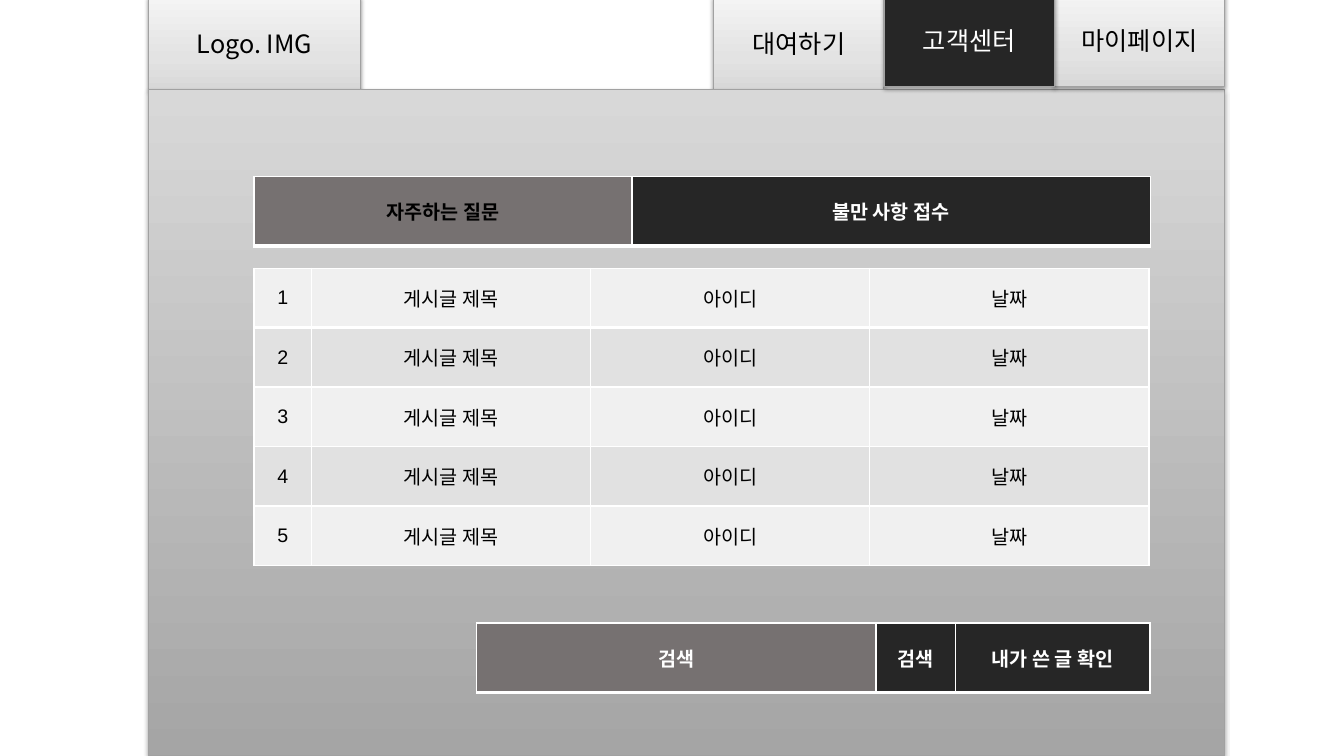
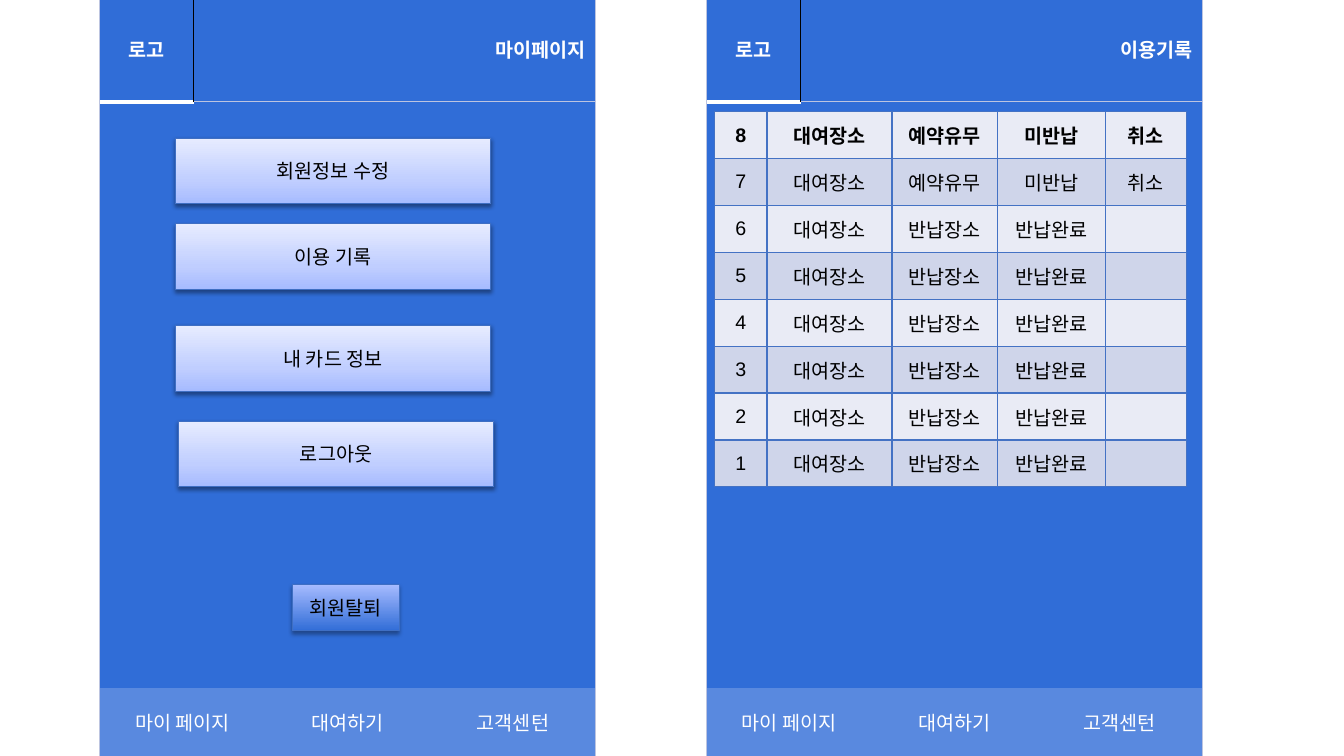
from dataclasses import dataclass, field
from typing import Optional, Sequence, Union

from lxml.etree import SubElement
from pptx import Presentation
from pptx.dml.color import RGBColor
from pptx.enum.shapes import MSO_SHAPE
from pptx.enum.text import MSO_ANCHOR, MSO_AUTO_SIZE, PP_ALIGN
from pptx.oxml.ns import qn
from pptx.util import Emu, Inches, Pt

Stops = tuple[tuple[int, str], ...]
Fill = Union[str, Stops]
GRID_ROWS = 75
NO_TABLE_STYLE = "{2D5ABB26-0587-4C30-8999-92F81FD0307C}"


@dataclass(frozen=True)
class Theme:
    latin: str = "Arial"
    korean: str = "Noto Sans CJK KR"
    tab_size: int = 18
    text_size: int = 14
    black: str = "000000"
    white: str = "FFFFFF"
    dark: str = "262626"
    taupe: str = "767171"
    gray_line: str = "A1A1A1"
    gray_rows: tuple[str, str] = ("F0F0F0", "E1E1E1")
    tab: Stops = ((0, "D8D8D8"), (35, "E3E3E3"), (100, "F4F4F4"))
    page: Stops = ((0, "A5A5A5"), (100, "D8D8D8"))
    blue: str = "306DD7"
    nav: str = "5989DF"
    pale_line: str = "BCC4E0"
    button_line: str = "3F6FC3"
    grid_line: str = "4472C4"
    blue_rows: tuple[str, str] = ("E9EBF5", "CFD5EA")
    button: Stops = ((0, "A6BBFF"), (35, "C0CEFF"), (100, "E7ECFF"))
    leave: Stops = ((0, "316DD7"), (100, "A6BBFF"))


@dataclass(frozen=True)
class Box:
    x: float
    y: float
    w: float
    h: float


@dataclass(frozen=True)
class Edge:
    color: str
    width: float = 1


@dataclass(frozen=True)
class Panel:
    box: Box
    fill: Fill
    line: str
    text: str = ""
    color: str = "000000"
    size: int = 14
    latin: str = "Arial"
    shadow: tuple[int, float] = (38, 1.6)


@dataclass(frozen=True)
class Cell:
    text: str
    fill: str
    color: str = "000000"
    bold: bool = False
    align: PP_ALIGN = PP_ALIGN.CENTER
    edges: dict[str, Edge] = field(default_factory=dict)


T = Theme()
prs = Presentation()
prs.slide_width, prs.slide_height = Inches(40 / 3), Inches(7.5)


def unit(n: float) -> Emu:
    return Emu(round(n * prs.slide_height / GRID_ROWS))


def place(box: Box) -> tuple[Emu, Emu, Emu, Emu]:
    return unit(box.x), unit(box.y), unit(box.w), unit(box.h)


def write(tf, text: str, *, color: str, size: int = T.text_size, bold: bool = False,
          latin: str = T.latin, align: PP_ALIGN = PP_ALIGN.CENTER) -> None:
    p = tf.paragraphs[0]
    p.alignment = align
    r = p.add_run()
    r.text = text
    r.font.name, r.font.size, r.font.bold = latin, Pt(size), bold
    r.font.color.rgb = RGBColor.from_string(color)
    SubElement(r.font._element, qn("a:ea"), typeface=T.korean)


def paint(sp, fill: Fill) -> None:
    if isinstance(fill, str):
        sp.fill.solid()
        sp.fill.fore_color.rgb = RGBColor.from_string(fill)
        return
    sp.fill.gradient()
    grad = sp._element.spPr.find(qn("a:gradFill"))
    for child in list(grad):
        grad.remove(child)
    stops = SubElement(grad, qn("a:gsLst"))
    for pos, color in fill:
        gs = SubElement(stops, qn("a:gs"), pos=str(pos * 1000))
        SubElement(gs, qn("a:srgbClr"), val=color)
    SubElement(grad, qn("a:lin"), ang="16200000", scaled="0")


def cast_shadow(sp, alpha: int, dist: float) -> None:
    sp.shadow.inherit = False
    effects = sp._element.spPr.find(qn("a:effectLst"))
    outer = SubElement(effects, qn("a:outerShdw"), blurRad=str(Pt(3.1)),
                       dist=str(Pt(dist)), dir="5400000", rotWithShape="0")
    clr = SubElement(outer, qn("a:srgbClr"), val=T.black)
    SubElement(clr, qn("a:alpha"), val=str(alpha * 1000))


def format_panel(sp, panel: Panel) -> None:
    sp.left, sp.top, sp.width, sp.height = place(panel.box)
    paint(sp, panel.fill)
    sp.line.color.rgb = RGBColor.from_string(panel.line)
    sp.line.width = Pt(0.75)
    cast_shadow(sp, *panel.shadow)
    tf = sp.text_frame
    tf.word_wrap = True
    tf.auto_size = MSO_AUTO_SIZE.NONE
    tf.vertical_anchor = MSO_ANCHOR.MIDDLE
    if panel.text:
        write(tf, panel.text, color=panel.color, size=panel.size, latin=panel.latin)


def add_panel(s, panel: Panel) -> None:
    format_panel(s.shapes.add_shape(MSO_SHAPE.RECTANGLE, *place(panel.box)), panel)


def add_edges(cell, edges: dict[str, Edge]) -> None:
    tcPr = cell._tc.get_or_add_tcPr()
    for side in "LRTB":
        if side in edges:
            edge = edges[side]
            ln = SubElement(tcPr, qn("a:ln" + side), w=str(Pt(edge.width)))
            solid = SubElement(ln, qn("a:solidFill"))
            SubElement(solid, qn("a:srgbClr"), val=edge.color)


def add_grid(s, x: float, y: float, cols: Sequence[float], rows: Sequence[float],
             cells: Sequence[Sequence[Optional[Cell]]]) -> None:
    box = Box(x, y, sum(cols), sum(rows))
    frame = s.shapes.add_table(len(rows), len(cols), *place(box))
    tbl = frame.table
    tbl.first_row = tbl.horz_banding = False
    tbl._tbl.tblPr.find(qn("a:tableStyleId")).text = NO_TABLE_STYLE
    for col, w in zip(tbl.columns, cols):
        col.width = unit(w)
    for row, h in zip(tbl.rows, rows):
        row.height = unit(h)
    for i, line in enumerate(cells):
        span = sum(item is None for item in line)
        if span:
            tbl.cell(i, 0).merge(tbl.cell(i, span))
        for j, item in enumerate(line):
            if item is None:
                continue
            cell = tbl.cell(i, j)
            add_edges(cell, item.edges)
            cell.fill.solid()
            cell.fill.fore_color.rgb = RGBColor.from_string(item.fill)
            cell.vertical_anchor = MSO_ANCHOR.MIDDLE
            if item.text:
                write(cell.text_frame, item.text, color=item.color,
                      bold=item.bold, align=item.align)


def box_edges(color: str, bottom: float = 1) -> dict[str, Edge]:
    return {side: Edge(color, bottom if side == "B" else 1) for side in "LRTB"}


def tab(x: float, y: float, text: str, w: float = 16.9, fill: Fill = T.tab,
        color: str = T.black) -> Panel:
    return Panel(Box(x, y, w, 9.2), fill, T.gray_line, text, color, T.tab_size, T.korean)


def add_bar(s, x: float, y: float, cols: Sequence[float],
            labels: Sequence[tuple[str, str, str]]) -> None:
    cells = [Cell(text, fill, color, True, edges=box_edges(T.white, 3))
             for text, fill, color in labels]
    add_grid(s, x, y, cols, [6.9], [cells])


def support_slide() -> None:
    s = prs.slides.add_slide(prs.slide_layouts[5])
    add_panel(s, tab(70.8, -0.3, "대여하기"))
    add_panel(s, tab(14.7, -0.3, "Logo. IMG", w=21.1))
    add_panel(s, Panel(Box(14.7, 8.9, 106.8, 66.1), T.page, T.gray_line, shadow=(35, 1.8)))
    add_bar(s, 25.2, 17.5, [37.5, 51.4],
            [("자주하는 질문", T.taupe, T.black), ("불만 사항 접수", T.dark, T.white)])
    posts = []
    for i in range(5):
        edges = box_edges(T.white, 1 if i else 3)
        if i == 1:
            edges["T"] = Edge(T.white, 3)
        posts.append([Cell(text, T.gray_rows[i % 2], edges=edges)
                      for text in (str(i + 1), "게시글 제목", "아이디", "날짜")])
    add_grid(s, 25.2, 26.6, [5.7] + [27.7] * 3, [5.9] * 5, posts)
    add_bar(s, 47.3, 61.8, [39.6, 7.9, 19.3],
            [("검색", T.taupe, T.white), ("검색", T.dark, T.white),
             ("내가 쓴 글 확인", T.dark, T.white)])
    add_panel(s, tab(104.6, -0.6, "마이페이지"))
    title = s.shapes.title
    format_panel(title, tab(87.7, -0.6, "고객센터", fill=T.dark, color=T.white))
    s.shapes._spTree.append(title._element)


def add_phone(s, x: float, heading: str) -> None:
    pale, divider = Edge(T.pale_line, 0.75), Edge(T.black)
    nav = [Cell(text, T.nav, T.white, edges={"B": pale, **side})
           for text, side in (("마이 페이지", {"L": pale}), ("대여하기", {}),
                              ("고객센턴", {"R": pale}))]
    screen = Cell("", T.blue, edges={side: pale for side in "LRT"})
    add_grid(s, x, 10, [16.4] * 3, [58.3, 6.7], [[screen, None, None], nav])
    logo = Cell("로고", T.blue, T.white, True,
                edges={"L": pale, "T": pale, "R": divider, "B": Edge(T.white, 3)})
    name = Cell(heading, T.blue, T.white, True, PP_ALIGN.RIGHT,
                {"L": divider, "T": pale, "R": pale, "B": pale})
    add_grid(s, x, -0.3, [9.3, 39.9], [10.4], [[logo, name]])


def mobile_slide() -> None:
    s = prs.slides.add_slide(prs.slide_layouts[6])
    add_phone(s, 9.9, "마이페이지")
    for x, y, text in ((17.4, 13.7, "회원정보 수정"), (17.4, 22.2, "이용 기록"),
                       (17.4, 32.3, "내 카드 정보"), (17.7, 41.8, "로그아웃")):
        add_panel(s, Panel(Box(x, y, 31.3, 6.5), T.button, T.button_line, text))
    add_panel(s, Panel(Box(29, 58, 10.6, 4.6), T.leave, T.button_line, "회원탈퇴",
                       shadow=(35, 1.8)))
    add_phone(s, 70.1, "이용기록")
    open_rental = ("대여장소", "예약유무", "미반납", "취소")
    returned = ("대여장소", "반납장소", "반납완료", "")
    history = [[Cell(text, T.blue_rows[i % 2], bold=i == 0, edges=box_edges(T.grid_line))
                for text in (str(8 - i), *(open_rental if i < 2 else returned))]
               for i in range(8)]
    add_grid(s, 70.9, 11.1, [5.2, 12.4, 10.5, 10.7, 8], [4.65] * 8, history)


support_slide()
mobile_slide()
prs.save("out.pptx")
